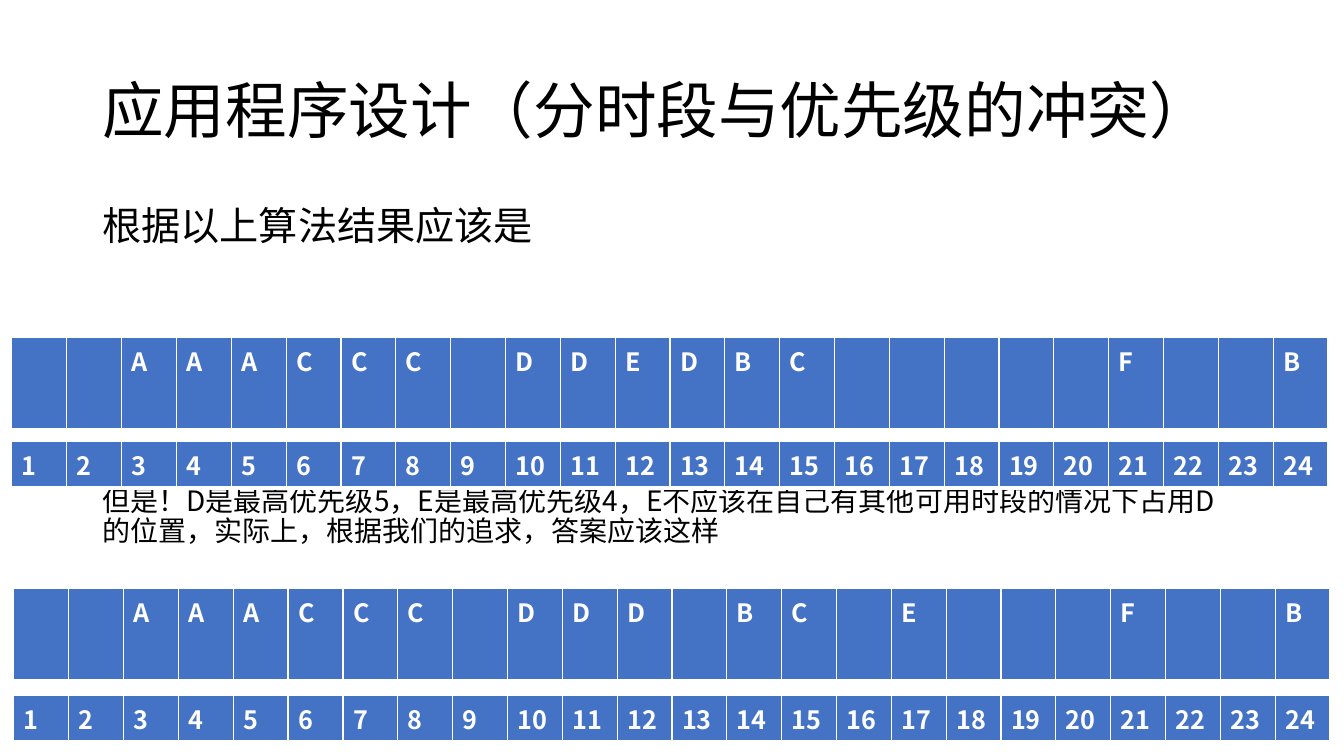
from dataclasses import dataclass

from lxml import etree
from pptx import Presentation
from pptx.dml.color import RGBColor
from pptx.enum.text import MSO_ANCHOR
from pptx.oxml.ns import qn
from pptx.util import Cm, Pt

MIDDLE, TOP = MSO_ANCHOR.MIDDLE, MSO_ANCHOR.TOP
FONT = "Noto Sans CJK SC"
BLACK, WHITE, BLUE = "000000", "FFFFFF", "4472C4"
FREE = "-"
TABLE_WIDTH = 33.18
LINE_SPACING = 0.9
BORDERS = {"a:lnL": 1, "a:lnR": 1, "a:lnT": 1, "a:lnB": 3}


@dataclass
class Para:
    text: str
    size: float
    space_before: float = 0


@dataclass
class TextBlock:
    top: float
    height: float
    anchor: MSO_ANCHOR
    paras: list[Para]


@dataclass
class Strip:
    left: float
    top: float
    height: float
    values: list[str]


HOURS = [str(hour) for hour in range(1, 25)]
BLOCKS = [
    TextBlock(1.02, 3.68, MIDDLE, [Para("应用程序设计（分时段与优先级的冲突）", 44)]),
    TextBlock(5.08, 12.09, TOP, [
        Para("根据以上算法结果应该是", 28),
        Para("但是！D是最高优先级5，E是最高优先级4，E不应该在自己有其他可用时段的情况下占用D的位置，"
             "实际上，根据我们的追求，答案应该这样", 20, 170),
    ]),
]
# One letter per hour, FREE marks an unused hour
STRIPS = [
    Strip(0.3, 8.49, 2.33, list("--AAACCC-DDEDBC-----F--B")),
    Strip(0.35, 14.83, 2.33, list("--AAACCC-DDD-BC-E---F--B")),
    Strip(0.3, 11.13, 1.16, HOURS),
    Strip(0.35, 17.53, 1.16, HOURS),
]


def rgb(value: str) -> RGBColor:
    return RGBColor.from_string(value)


def add_run(p, text: str, size: float, color: str, bold: bool = False) -> None:
    r = p.add_run()
    r.text = text
    for name, value in {"name": FONT, "size": Pt(size), "bold": bold}.items():
        setattr(r.font, name, value)
    r.font.color.rgb = rgb(color)
    etree.SubElement(r.font._element, qn("a:ea"), typeface=FONT)


def add_block(s, block: TextBlock) -> None:
    sp = s.shapes.add_textbox(Cm(2.33), Cm(block.top), Cm(29.21), Cm(block.height))
    tf = sp.text_frame
    tf.word_wrap = True
    tf.vertical_anchor = block.anchor
    for i, para in enumerate(block.paras):
        p = tf.add_paragraph() if i else tf.paragraphs[0]
        p.line_spacing = LINE_SPACING
        p.space_before = Pt(para.space_before)
        add_run(p, para.text, para.size, BLACK)


def add_borders(cell) -> None:
    tc_pr = cell._tc.get_or_add_tcPr()
    for tag, width in BORDERS.items():
        ln = etree.SubElement(tc_pr, qn(tag), w=str(Pt(width)))
        fill = etree.SubElement(ln, qn("a:solidFill"))
        etree.SubElement(fill, qn("a:srgbClr"), val=WHITE)


def add_strip(s, strip: Strip) -> None:
    count = len(strip.values)
    frame = s.shapes.add_table(1, count, Cm(strip.left), Cm(strip.top),
                               Cm(TABLE_WIDTH), Cm(strip.height))
    for cell, value in zip(frame.table.iter_cells(), strip.values):
        add_borders(cell)
        cell.fill.solid()
        cell.fill.fore_color.rgb = rgb(BLUE)
        if value != FREE:
            add_run(cell.text_frame.paragraphs[0], value, 18, WHITE, bold=True)


def main() -> None:
    prs = Presentation()
    prs.slide_width, prs.slide_height = Cm(33.87), Cm(19.05)
    s = prs.slides.add_slide(prs.slide_layouts[6])
    # Title and explanation
    for block in BLOCKS:
        add_block(s, block)
    # Schedules and their hour scales
    for strip in STRIPS:
        add_strip(s, strip)
    prs.save("out.pptx")


if __name__ == "__main__":
    main()
